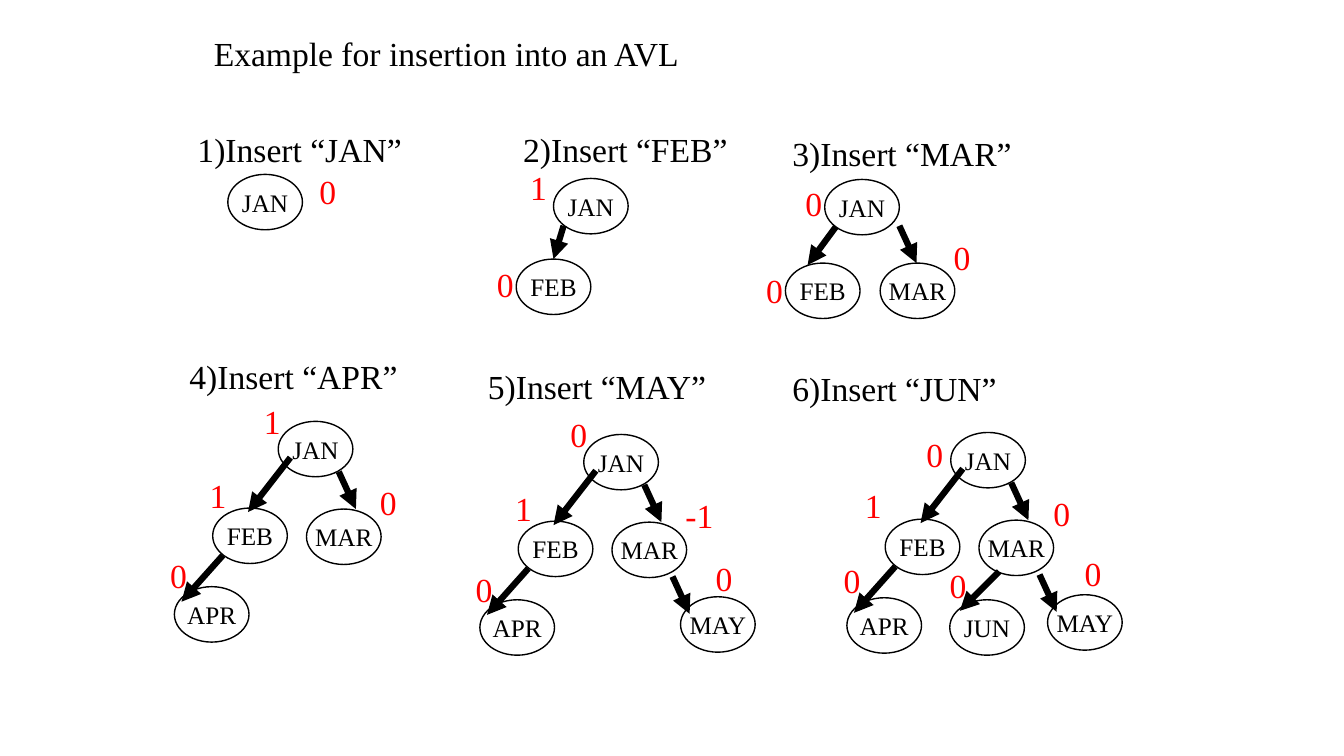
from dataclasses import dataclass

from lxml import etree
from pptx import Presentation
from pptx.dml import color
from pptx.enum import shapes, text
from pptx.oxml import ns
from pptx.util import Inches, Pt


@dataclass(frozen=True)
class Theme:
    font: str = "Times New Roman"
    ink: str = "000000"
    balance: str = "FF0000"
    paper: str = "FFFFFF"
    heading_size: float = 24
    node_size: float = 18
    outline: float = 1
    arrow: float = 4.5


THEME = Theme()
TITLE = "Example for insertion into an AVL"
NODE_W, NODE_H = 0.74, 0.55
TEXT_H = 0.51
CAPTION_W = 3.78

# Every offset below is measured from the top left corner of the root node.
# child: (node offset, arrow start, arrow end)
PAIR = {"FEB": ((-0.37, 0.8), (0.1, 0.47), (0, 0.8))}
TRIO = {
    "FEB": ((-0.39, 0.83), (0.11, 0.47), (-0.17, 0.85)),
    "MAR": ((0.55, 0.83), (0.74, 0.46), (0.91, 0.83)),
}
TREE = {
    "FEB": ((-0.65, 0.86), (0.12, 0.36), (-0.3, 0.9)),
    "MAR": ((0.28, 0.87), (0.6, 0.5), (0.77, 0.87)),
    "APR": ((-1.03, 1.64), (-0.55, 1.33), (-0.96, 1.79)),
    "MAY": ((0.96, 1.61), (0.88, 1.41), (1.05, 1.78)),
    "JUN": ((-0.01, 1.66), (0.48, 1.38), (0.09, 1.77)),
}

# (caption, caption position, root position, layout,
#  {node: (balance factor, its offset)})
STEPS = [
    ("1)Insert “JAN”", (1.86, 1.23), (2.26, 1.73), {},
     {"JAN": ("0", (0.81, -0.08))}),
    ("2)Insert “FEB”", (5.09, 1.23), (5.49, 1.77), PAIR,
     {"JAN": ("1", (-0.33, -0.16)), "FEB": ("0", (-0.66, 0.8))}),
    ("3)Insert “MAR”", (7.76, 1.27), (8.18, 1.78), TRIO,
     {"JAN": ("0", (-0.29, -0.01)), "FEB": ("0", (-0.68, 0.85)),
      "MAR": ("0", (1.18, 0.52))}),
    ("4)Insert “APR”", (1.78, 3.48), (2.76, 4.18), TREE,
     {"JAN": ("1", (-0.24, -0.25)), "FEB": ("1", (-0.78, 0.48)),
      "MAR": ("0", (0.91, 0.55)), "APR": ("0", (-1.17, 1.28))}),
    ("5)Insert “MAY”", (4.74, 3.58), (5.79, 4.31), TREE,
     {"JAN": ("0", (-0.23, -0.25)), "FEB": ("1", (-0.78, 0.48)),
      "MAR": ("-1", (0.91, 0.55)), "APR": ("0", (-1.17, 1.28)),
      "MAY": ("0", (1.21, 1.18))}),
    ("6)Insert “JUN”", (7.76, 3.6), (9.43, 4.29), TREE,
     {"JAN": ("0", (-0.34, -0.03)), "FEB": ("1", (-0.95, 0.47)),
      "MAR": ("0", (0.92, 0.55)), "APR": ("0", (-1.16, 1.22)),
      "MAY": ("0", (1.23, 1.15)), "JUN": ("0", (-0.11, 1.26))}),
]


def rgb(value):
    return color.RGBColor.from_string(value)


def shift(origin, offset):
    return origin[0] + offset[0], origin[1] + offset[1]


def write(shape, words, size=THEME.heading_size, ink=THEME.ink,
          align=text.PP_ALIGN.LEFT, anchor=text.MSO_ANCHOR.TOP, wrap=True):
    frame = shape.text_frame
    frame.word_wrap = wrap
    frame.vertical_anchor = anchor
    frame.auto_size = text.MSO_AUTO_SIZE.NONE
    para = frame.paragraphs[0]
    para.alignment = align
    para.line_spacing = 1.0
    span = para.add_run()
    span.text = words
    span.font.name = THEME.font
    span.font.size = Pt(size)
    span.font.color.rgb = rgb(ink)


def add_label(page, words, at, width, **style):
    box = page.shapes.add_textbox(Inches(at[0]), Inches(at[1]),
                                  Inches(width), Inches(TEXT_H))
    write(box, words, **style)


def add_node(page, name, at):
    node = page.shapes.add_shape(
        shapes.MSO_SHAPE.OVAL, Inches(at[0]), Inches(at[1]),
        Inches(NODE_W), Inches(NODE_H))
    node.shadow.inherit = False
    node.fill.solid()
    node.fill.fore_color.rgb = rgb(THEME.paper)
    node.line.color.rgb = rgb(THEME.ink)
    node.line.width = Pt(THEME.outline)
    write(node, name, size=THEME.node_size, align=text.PP_ALIGN.CENTER,
          anchor=text.MSO_ANCHOR.MIDDLE, wrap=False)


def add_arrow(page, start, end):
    arrow = page.shapes.add_connector(
        shapes.MSO_CONNECTOR.STRAIGHT, *map(Inches, start + end))
    arrow.line.color.rgb = rgb(THEME.ink)
    arrow.line.width = Pt(THEME.arrow)
    etree.SubElement(arrow.line._get_or_add_ln(), ns.qn("a:tailEnd"),
                     type="triangle")
    etree.SubElement(arrow._element.spPr, ns.qn("a:effectLst"))


def add_step(page, caption, caption_at, root, layout, balances):
    add_label(page, caption, caption_at, CAPTION_W)
    children = [layout[name] for name in balances if name in layout]
    offsets = [(0, 0)] + [child[0] for child in children]
    for name, offset in zip(balances, offsets):
        add_node(page, name, shift(root, offset))
    for _, start, end in children:
        add_arrow(page, shift(root, start), shift(root, end))
    for factor, offset in balances.values():
        width = 0.3 if len(factor) == 1 else 0.73
        add_label(page, factor, shift(root, offset), width, ink=THEME.balance)


def main():
    deck = Presentation()
    deck.slide_width, deck.slide_height = Inches(13.33), Inches(7.5)
    page = deck.slides.add_slide(deck.slide_layouts[5])
    title = page.shapes.title
    title.left, title.top = Inches(2.02), Inches(0.28)
    title.width, title.height = Inches(9.21), Inches(TEXT_H)
    write(title, TITLE)
    for step in STEPS:
        add_step(page, *step)
    deck.save("out.pptx")


if __name__ == "__main__":
    main()
